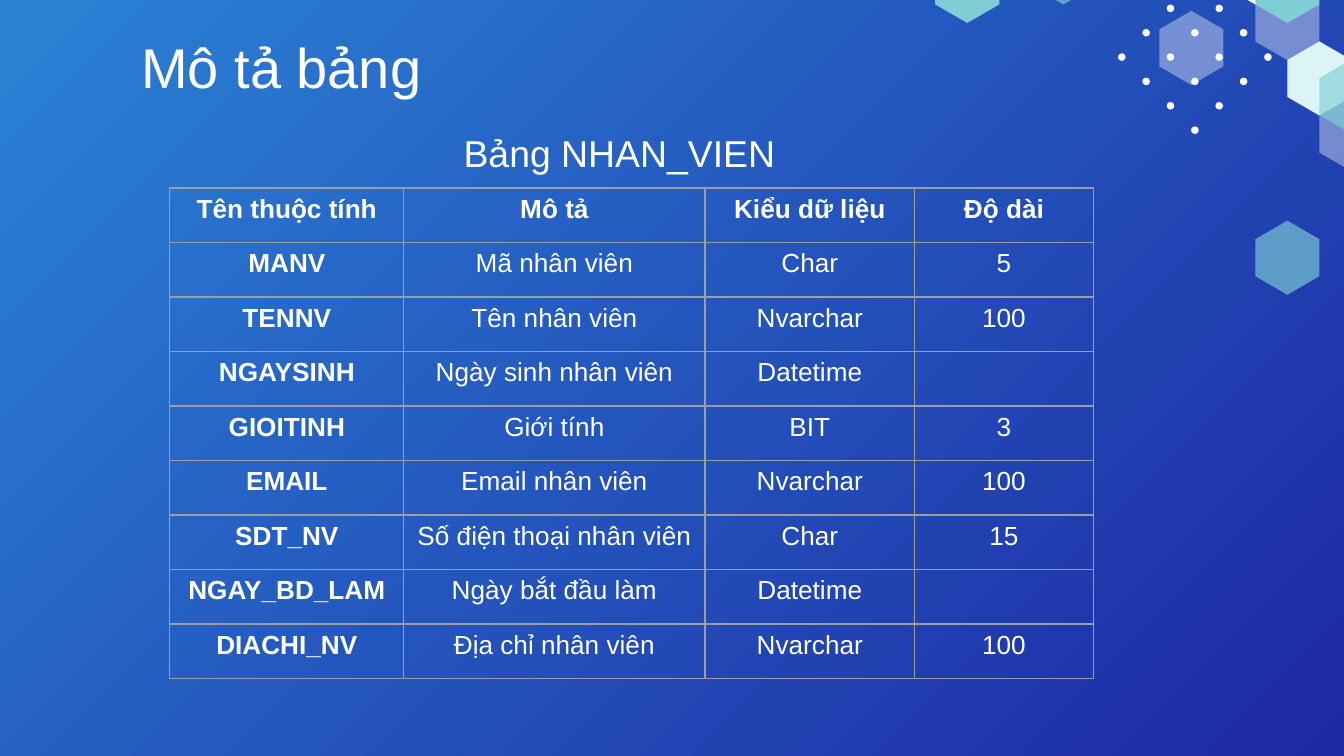
from lxml import etree
from pptx import Presentation
from pptx.dml.color import RGBColor
from pptx.enum.shapes import MSO_SHAPE
from pptx.enum.text import MSO_ANCHOR, PP_ALIGN
from pptx.oxml.ns import qn
from pptx.util import Pt

OVAL = MSO_SHAPE.OVAL
BOTTOM = MSO_ANCHOR.BOTTOM
CENTER = PP_ALIGN.CENTER
FONT = "Arial"
COLORS = {
    "sky": "2B82D5", "navy": "1D28A4", "white": "FFFFFF",
    "teal": "7FCED6", "ice": "DDF4F7", "grid": "9E9E9E",
}


def rgb(name):
    return RGBColor.from_string(COLORS[name])


def write(paragraph, text, size, bold=False):
    paragraph.alignment = CENTER
    run = paragraph.add_run()
    run.text = text
    run.font.name = FONT
    run.font.size = Pt(size)
    run.font.bold = bold
    run.font.color.rgb = rgb("white")


prs = Presentation()
prs.slide_width, prs.slide_height = Pt(720), Pt(405)
slide = prs.slides.add_slide(prs.slide_layouts[6])

# Background gradient, top left to bottom right
backdrop = slide.background.fill
backdrop.gradient()
backdrop.gradient_angle = 315
for stop, (position, color) in zip(backdrop.gradient_stops, [(0, "sky"), (1, "navy")]):
    stop.position = position
    stop.color.rgb = rgb(color)

# Diamond of dots on a checkerboard lattice
DOT, PITCH = 4, 13.05
for row in range(6):
    for col in range(-3, 4):
        if (row + col) % 2 and abs(col) + abs(row - 2) <= 3:
            dot = slide.shapes.add_shape(
                OVAL, Pt(640.1 + col * PITCH - DOT / 2),
                Pt(4.5 + row * PITCH - DOT / 2), Pt(DOT), Pt(DOT))
            dot.shadow.inherit = False
            dot.fill.solid()
            dot.fill.fore_color.rgb = rgb("white")
            dot.line.fill.background()

# Hexagons: columns left of the right-hand one, top edge, colour, opacity in %
HALF_WIDTH, HEX_HEIGHT = 17.15, 39.7
hexagons = [
    (2, -7.5, "white", 38), (3, -37.3, "white", 100), (9, -37.3, "teal", 65),
    (1, 22.2, "ice", 100), (0, 52, "white", 38), (5, 5.8, "white", 38),
    (2, -27.4, "teal", 100), (12, -27.4, "teal", 100),
    (0, 31.9, "teal", 65), (2, 118.2, "teal", 65),
]
corners = [(0, 0), (1, 0.25), (1, 0.75), (0, 1), (-1, 0.75), (-1, 0.25)]
for col, top, color, opacity in hexagons:
    points = [(Pt(724 - (col - x) * HALF_WIDTH), Pt(top + y * HEX_HEIGHT))
              for x, y in corners]
    outline = slide.shapes.build_freeform(*points[0])
    outline.add_line_segments(points[1:], close=True)
    hexagon = outline.convert_to_shape()
    hexagon.shadow.inherit = False
    hexagon.fill.solid()
    hexagon.fill.fore_color.rgb = rgb(color)
    hexagon.line.fill.background()
    if opacity < 100:
        tint = hexagon.fill._xPr.find(".//" + qn("a:srgbClr"))
        etree.SubElement(tint, qn("a:alpha"), val=str(opacity * 1000))

# Title and table caption
for text, size, left, top, width in [
    ("Mô tả bảng", 30, 35.3, 15.8, 231),
    ("Bảng NHAN_VIEN", 20, 123.1, 56.2, 417.6),
]:
    heading = slide.shapes.add_textbox(Pt(left), Pt(top), Pt(width), Pt(44.6))
    frame = heading.text_frame
    frame.word_wrap = True
    frame.vertical_anchor = BOTTOM
    frame.margin_left = frame.margin_right = Pt(7.2)
    frame.margin_top = frame.margin_bottom = Pt(7.2)
    write(frame.paragraphs[0], text, size)

# Attribute table
attributes = [
    ("Tên thuộc tính", "Mô tả", "Kiểu dữ liệu", "Độ dài"),
    ("MANV", "Mã nhân viên", "Char", "5"),
    ("TENNV", "Tên nhân viên", "Nvarchar", "100"),
    ("NGAYSINH", "Ngày sinh nhân viên", "Datetime", ""),
    ("GIOITINH", "Giới tính", "BIT", "3"),
    ("EMAIL", "Email nhân viên", "Nvarchar", "100"),
    ("SDT_NV", "Số điện thoại nhân viên", "Char", "15"),
    ("NGAY_BD_LAM", "Ngày bắt đầu làm", "Datetime", ""),
    ("DIACHI_NV", "Địa chỉ nhân viên", "Nvarchar", "100"),
]
widths = [125.4, 161.3, 112.4, 95.6]
ROW_HEIGHT = 29.2
table = slide.shapes.add_table(
    len(attributes), len(widths), Pt(91), Pt(100.7),
    Pt(sum(widths)), Pt(ROW_HEIGHT * len(attributes))).table
table.first_row = table.horz_banding = False
for column, width in zip(table.columns, widths):
    column.width = Pt(width)
for r, attribute in enumerate(attributes):
    table.rows[r].height = Pt(ROW_HEIGHT)
    for c, text in enumerate(attribute):
        cell = table.cell(r, c)
        properties = cell._tc.get_or_add_tcPr()
        for side in ("a:lnL", "a:lnR", "a:lnT", "a:lnB"):
            border = etree.SubElement(properties, qn(side), w=str(Pt(0.75)))
            paint = etree.SubElement(border, qn("a:solidFill"))
            etree.SubElement(paint, qn("a:srgbClr"), val=COLORS["grid"])
        cell.fill.background()
        if text:
            write(cell.text_frame.paragraphs[0], text, 14, bold=r == 0 or c == 0)

prs.save("out.pptx")
